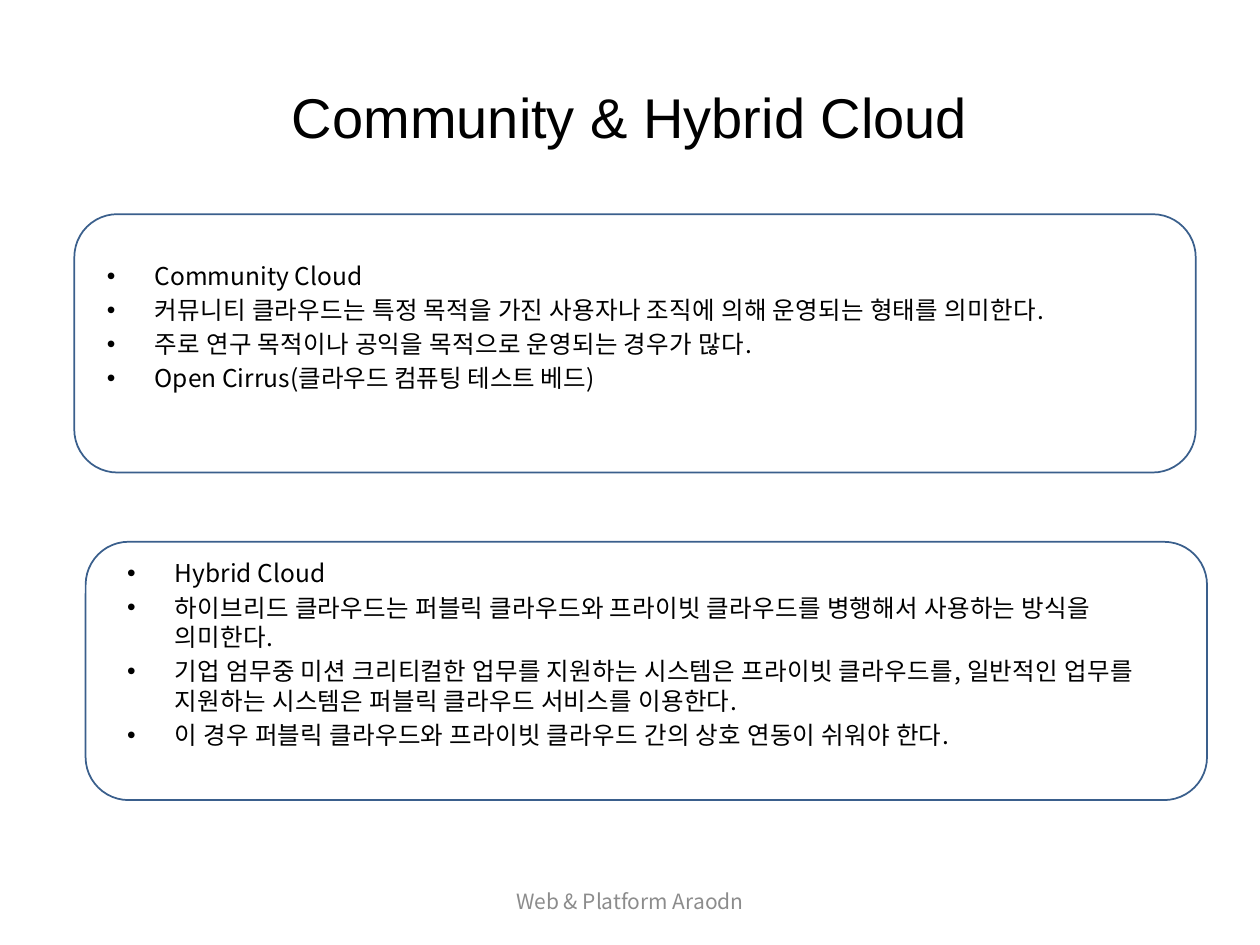
"""Build a slide that describes community and hybrid clouds."""
import pptx
import pptx.dml.color
import pptx.enum.shapes
import pptx.enum.text
import pptx.oxml.ns
import pptx.util
from lxml import etree

Inches = pptx.util.Inches
Pt = pptx.util.Pt
WIDTH, HEIGHT = 10, 7.5
COLORS = {"text": "000000", "footer": "8C8C8C", "border": "3A5F8C"}
BODY_FONT = "Noto Sans CJK KR"
PANEL_SIZE = (8.9, 2.05)
LIST_SIZE = (8.58, 2.05)
INDENT = 0.38
SENTENCE_TRACKING = 16

COMMUNITY = [
    "Community Cloud",
    "커뮤니티 클라우드는 특정 목적을 가진 사용자나 조직에 의해 운영되는 형태를 의미한다.",
    "주로 연구 목적이나 공익을 목적으로 운영되는 경우가 많다.",
    "Open Cirrus(클라우드 컴퓨팅 테스트 베드)",
]
HYBRID = [
    "Hybrid Cloud",
    "하이브리드 클라우드는 퍼블릭 클라우드와 프라이빗 클라우드를 병행해서 사용하는 방식을 의미한다.",
    "기업 엄무중 미션 크리티컬한 업무를 지원하는 시스템은 프라이빗 클라우드를, "
    "일반적인 업무를 지원하는 시스템은 퍼블릭 클라우드 서비스를 이용한다.",
    "이 경우 퍼블릭 클라우드와 프라이빗 클라우드 간의 상호 연동이 쉬워야 한다.",
]


def rgb(name):
    return pptx.dml.color.RGBColor.from_string(COLORS[name])


def box(left, top, size):
    return [Inches(v) for v in (left, top, *size)]


def format_paragraph(p, size, font, color="text", tracking=0):
    p.font.size = Pt(size)
    p.font.name = font
    p.font.color.rgb = rgb(color)
    props = p.font._element
    etree.SubElement(props, pptx.oxml.ns.qn("a:ea"), typeface=font)
    if tracking:
        props.set("spc", str(tracking))


def add_title(slide, text):
    sp = slide.shapes.title
    sp.left, sp.top, sp.width, sp.height = box(0.5, 0.3, (WIDTH - 1, 1.25))
    tf = sp.text_frame
    tf.text = text
    tf.vertical_anchor = pptx.enum.text.MSO_ANCHOR.MIDDLE
    p = tf.paragraphs[0]
    p.alignment = pptx.enum.text.PP_ALIGN.CENTER
    format_paragraph(p, 32, "Arial")


def add_text_frame(slide, left, top, size):
    tf = slide.shapes.add_textbox(*box(left, top, size)).text_frame
    tf.word_wrap = True
    return tf


def add_footer(slide, text):
    width = 3.17
    tf = add_text_frame(slide, (WIDTH - width) / 2, 6.95, (width, 0.4))
    tf.vertical_anchor = pptx.enum.text.MSO_ANCHOR.MIDDLE
    p = tf.paragraphs[0]
    p.text = text
    p.alignment = pptx.enum.text.PP_ALIGN.CENTER
    format_paragraph(p, 12, BODY_FONT, "footer")


def add_panel(slide, left, top):
    kind = pptx.enum.shapes.MSO_SHAPE.ROUNDED_RECTANGLE
    sp = slide.shapes.add_shape(kind, *box(left, top, PANEL_SIZE))
    sp.shadow.inherit = False
    sp.fill.background()
    sp.line.color.rgb = rgb("border")
    sp.line.width = Pt(1)


def add_bullets(slide, left, top, items):
    tf = add_text_frame(slide, left, top, LIST_SIZE)
    for i, item in enumerate(items):
        p = tf.add_paragraph() if i else tf.paragraphs[0]
        p.text = item
        p.line_spacing = Pt(17)
        p.space_before = Pt(2.5 if i else 0)
        props = p._p.get_or_add_pPr()
        props.set("marL", str(Inches(INDENT)))
        props.set("indent", str(-Inches(INDENT)))
        etree.SubElement(props, pptx.oxml.ns.qn("a:buFont"), typeface="Arial")
        etree.SubElement(props, pptx.oxml.ns.qn("a:buChar"), char="•")
        tracking = SENTENCE_TRACKING if item.endswith(".") else 0
        format_paragraph(p, 14, BODY_FONT, tracking=tracking)


def main():
    prs = pptx.Presentation()
    prs.slide_width, prs.slide_height = Inches(WIDTH), Inches(HEIGHT)
    slide = prs.slides.add_slide(prs.slide_layouts[5])
    add_title(slide, "Community & Hybrid Cloud")
    add_footer(slide, "Web & Platform Araodn")
    add_panel(slide, 0.59, 1.7)
    add_bullets(slide, 0.75, 2.02, COMMUNITY)
    add_panel(slide, 0.68, 4.3)
    add_bullets(slide, 0.91, 4.38, HYBRID)
    prs.save("out.pptx")


if __name__ == "__main__":
    main()
